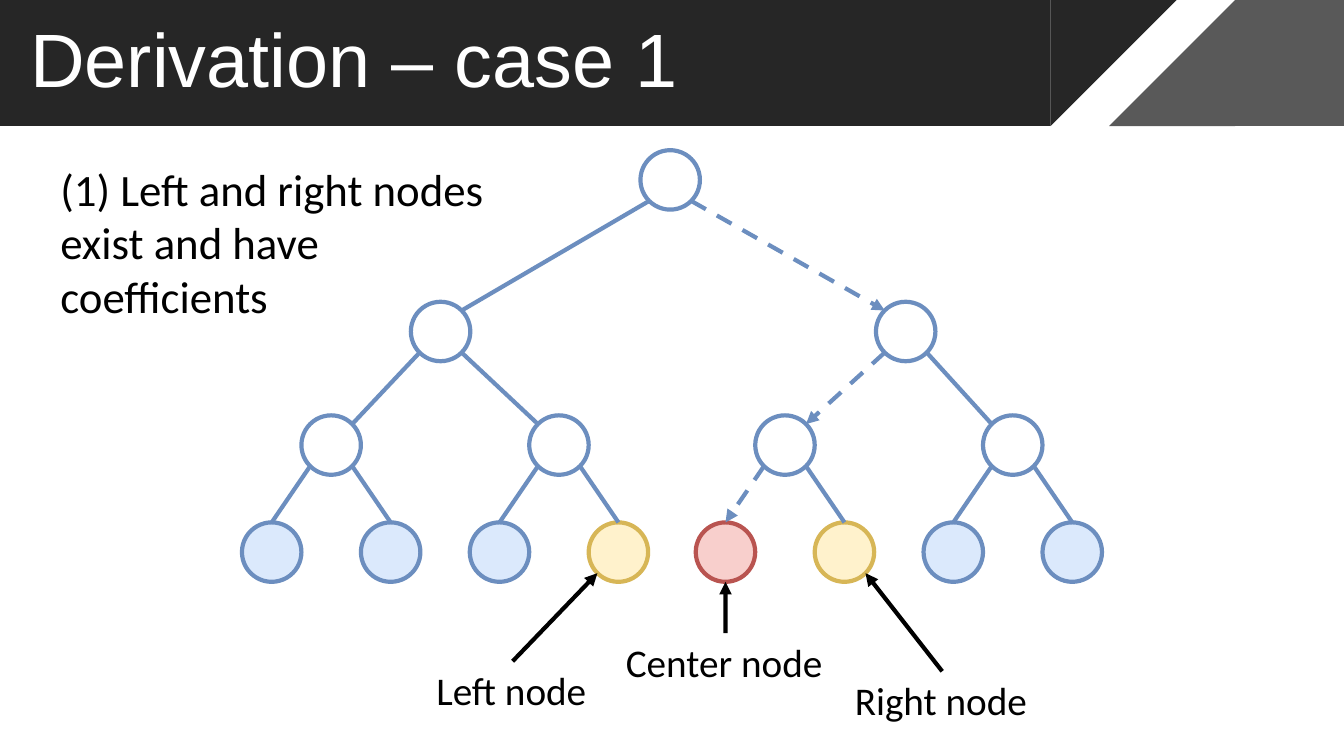
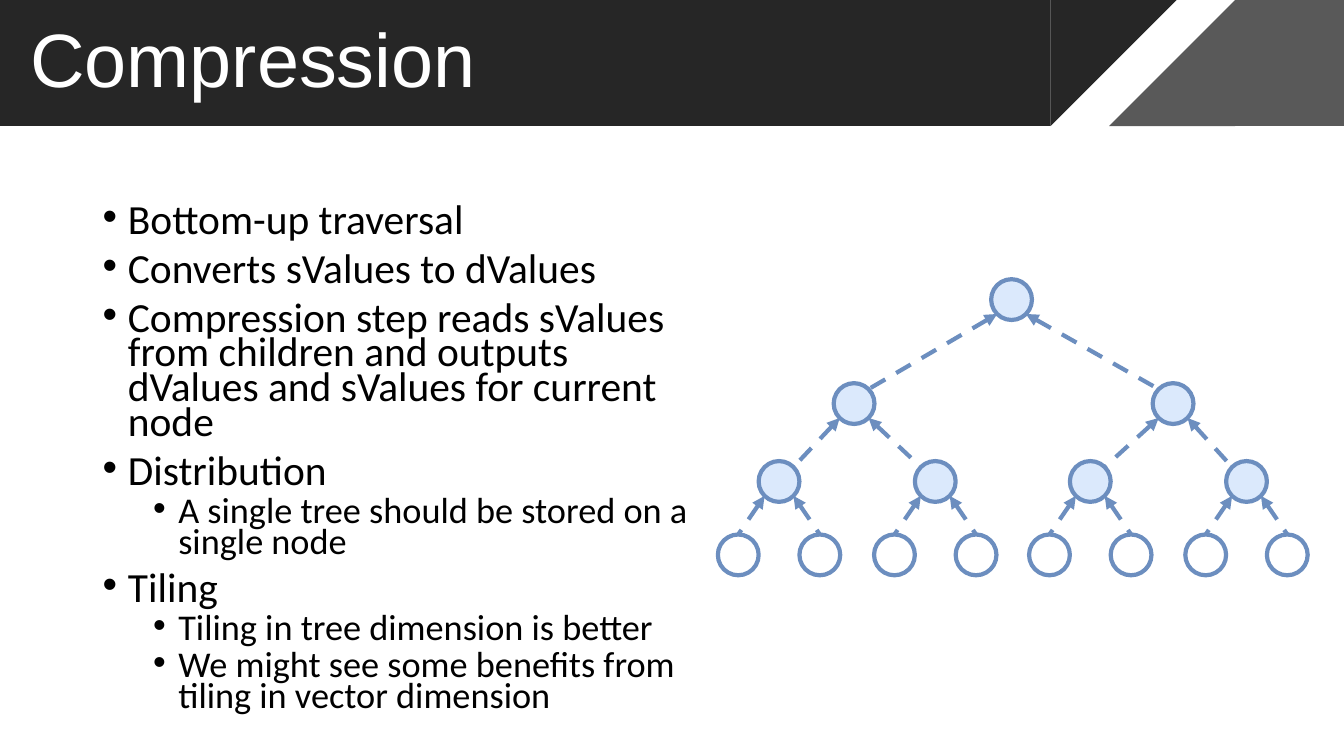
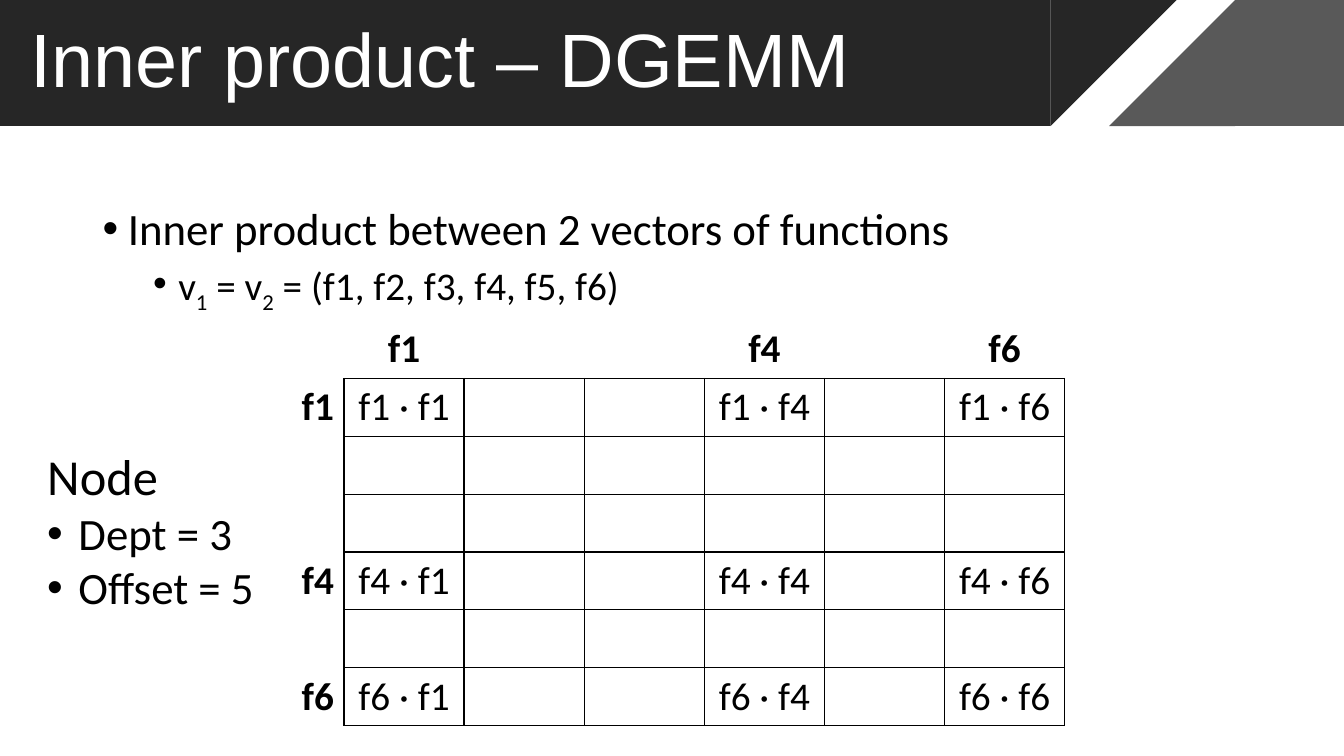
import math
import pptx
import pptx.util
import pptx.dml.color
import pptx.enum.dml
import pptx.enum.shapes
import pptx.enum.text
import pptx.oxml.ns
from lxml import etree

Inches, Pt = pptx.util.Inches, pptx.util.Pt
RGB = pptx.dml.color.RGBColor
SHAPE = pptx.enum.shapes.MSO_SHAPE
ALIGN = pptx.enum.text.PP_ALIGN
ANCHOR = pptx.enum.text.MSO_ANCHOR
qn = pptx.oxml.ns.qn

BLACK, WHITE = RGB(0, 0, 0), RGB(255, 255, 255)
BAND_DARK, BAND_GREY = RGB(0x26, 0x26, 0x26), RGB(0x59, 0x59, 0x59)
BLUE, PALE_BLUE = RGB(0x6C, 0x8E, 0xBF), RGB(0xDB, 0xE9, 0xFC)
GOLD, PALE_GOLD = RGB(0xD7, 0xB6, 0x56), RGB(0xFF, 0xF2, 0xCC)
RED, PALE_RED = RGB(0xB9, 0x54, 0x50), RGB(0xF8, 0xCF, 0xCC)

SLIDE_W, SLIDE_H, BAND_H = 13.33, 7.5, 1.25

# Tree layout in node diameters; nodes are numbered like a heap, root = 1
PAIR_STARTS = (0, 3.83, 7.63, 11.46)
TREE_COLUMNS = [6.7, 2.84, 10.66]
TREE_COLUMNS += [start + 1 for start in PAIR_STARTS]
TREE_COLUMNS += [start + side for start in PAIR_STARTS for side in (0, 2)]
TREE_ROWS = (0, 2.55, 4.46, 6.26)
TREE_SPAN = max(TREE_COLUMNS) + 1
FIRST_LEAF = 8


# Shared helpers
def inches(*lengths):
    return [Inches(length) for length in lengths]


def set_font(paragraph, size, color=BLACK, name="Calibri", bold=False):
    font = paragraph.font
    font.size, font.name, font.bold = Pt(size), name, bold
    font.color.rgb = color


def add_shape(shapes, kind, box, fill=None, outline=None):
    shape = shapes.add_shape(kind, *inches(*box))
    shape.shadow.inherit = False
    if fill is None:
        shape.fill.background()
    else:
        shape.fill.solid()
        shape.fill.fore_color.rgb = fill
    if outline is None:
        shape.line.fill.background()
    else:
        shape.line.color.rgb = outline
        shape.line.width = Pt(3)
    return shape


def add_line(slide, start, end, color, dashed=False, arrow=None):
    """arrow is None, "headEnd" (at start) or "tailEnd" (at end)."""
    line = slide.shapes.add_connector(
        pptx.enum.shapes.MSO_CONNECTOR.STRAIGHT, *inches(*start, *end))
    line.line.color.rgb = color
    line.line.width = Pt(3)
    if dashed:
        line.line.dash_style = pptx.enum.dml.MSO_LINE.DASH
    properties = line._element.spPr
    if arrow:
        etree.SubElement(properties.find(qn("a:ln")), qn("a:" + arrow), type="triangle")
    etree.SubElement(properties, qn("a:effectLst"))
    return line


def add_text(slide, box, text, size, wrap=True):
    textbox = slide.shapes.add_textbox(*inches(*box))
    textbox.text_frame.word_wrap = wrap
    paragraph = textbox.text_frame.paragraphs[0]
    paragraph.text = text
    set_font(paragraph, size)
    return textbox


def set_bullet(paragraph, left, hanging):
    properties = paragraph._p.get_or_add_pPr()
    properties.set("marL", str(Inches(left)))
    properties.set("indent", str(-Inches(hanging)))
    etree.SubElement(properties, qn("a:buFont"), typeface="Arial")
    etree.SubElement(properties, qn("a:buChar"), char="•")


def add_bullets(slide, box, items, sizes, line_spacing):
    """items are (level, [(text, is_subscript), ...])."""
    frame = slide.shapes.add_textbox(*inches(*box)).text_frame
    frame.word_wrap = True
    for index, (level, pieces) in enumerate(items):
        paragraph = frame.add_paragraph() if index else frame.paragraphs[0]
        paragraph.level = level
        paragraph.line_spacing = line_spacing
        paragraph.space_before = Pt((10, 5)[level])
        set_bullet(paragraph, 0.25 + 0.5 * level, 0.25)
        set_font(paragraph, sizes[level])
        for text, is_subscript in pieces:
            run = paragraph.add_run()
            run.text = text
            if is_subscript:
                run.font._element.set("baseline", "-25000")


# Title bands, kept on the layout
def add_bands(layout, slide):
    slant = BAND_H
    dark_end, grey_start = 10.42, SLIDE_W - 1.08
    bands = [
        (SHAPE.RECTANGLE, 0, dark_end, BAND_DARK, 0),
        (SHAPE.RECTANGLE, grey_start, SLIDE_W - grey_start, BAND_GREY, 0),
        (SHAPE.ISOSCELES_TRIANGLE, dark_end, slant, BAND_DARK, 180),
        (SHAPE.ISOSCELES_TRIANGLE, grey_start - slant, slant, BAND_GREY, 0),
    ]
    for position, (kind, left, width, color, rotation) in enumerate(bands):
        band = add_shape(slide.shapes, kind, (left, 0, width, BAND_H), color)
        band.rotation = rotation
        if kind == SHAPE.ISOSCELES_TRIANGLE:
            band.adjustments[0] = 1
        layout.shapes._spTree.insert(2 + position, band._element)


def add_titled_slide(deck, layout, text):
    slide = deck.slides.add_slide(layout)
    title = slide.shapes.title
    title.left, title.top, title.width, title.height = inches(0.2, 0, 10.8, BAND_H)
    frame = title.text_frame
    frame.text = text
    frame.word_wrap = True
    frame.auto_size = pptx.enum.text.MSO_AUTO_SIZE.NONE
    frame.vertical_anchor = ANCHOR.MIDDLE
    heading = frame.paragraphs[0]
    heading.alignment = ALIGN.LEFT
    heading.line_spacing = 0.9
    set_font(heading, 54, WHITE, "Arial")
    return slide


# Binary tree
def add_tree(slide, left, top, width, node_style, edge_style):
    """Draws the tree and returns port(node, across, down), sides being -1, 0 or 1."""
    diameter = width / TREE_SPAN

    def corner(node):
        row = TREE_ROWS[node.bit_length() - 1]
        return left + TREE_COLUMNS[node - 1] * diameter, top + row * diameter

    def port(node, across, down):
        x, y = corner(node)
        reach = diameter / 2 / math.hypot(across, down)
        return x + diameter / 2 + across * reach, y + diameter / 2 + down * reach

    for node in range(1, 2 * FIRST_LEAF):
        add_shape(slide.shapes, SHAPE.OVAL, (*corner(node), diameter, diameter),
                  *node_style(node))
    for child in range(2, 2 * FIRST_LEAF):
        side = 1 if child % 2 else -1
        child_side = 0 if child >= FIRST_LEAF else -side
        add_line(slide, port(child // 2, side, 1), port(child, child_side, -1),
                 BLUE, *edge_style(child))
    return port


# Slide 1
def build_derivation(slide):
    marked = {11: (PALE_GOLD, GOLD), 12: (PALE_RED, RED), 13: (PALE_GOLD, GOLD)}
    searched = (3, 6, 12)

    def node_style(node):
        return marked.get(node, (PALE_BLUE if node >= FIRST_LEAF else None, BLUE))

    def edge_style(child):
        return (True, "tailEnd") if child in searched else (False, None)

    port = add_tree(slide, 2.4, 1.49, 8.53, node_style, edge_style)

    callouts = [
        ("Center node", (6.11, 6.28, 2.17, 0.57), 12, 0),
        ("Right node", (8.38, 6.66, 1.93, 0.57), 13, 1),
        ("Left node", (4.23, 6.56, 1.71, 0.57), 11, -1),
    ]
    for text, box, node, side in callouts:
        label = add_text(slide, box, text, 28, wrap=False)
        arrow = add_line(slide, box[:2], port(node, side, 1), BLACK, arrow="tailEnd")
        arrow.begin_connect(label, 0)

    add_text(slide, (0.5, 1.55, 4.4, 1.72),
             "(1) Left and right nodes exist and have coefficients", 32)


# Slide 2
def build_compression(slide):
    points = [
        (0, "Bottom-up traversal"),
        (0, "Converts sValues to dValues"),
        (0, "Compression step reads sValues from children and outputs "
            "dValues and sValues for current node"),
        (0, "Distribution"),
        (1, "A single tree should be stored on a single node"),
        (0, "Tiling"),
        (1, "Tiling in tree dimension is better"),
        (1, "We might see some benefits from tiling in vector dimension"),
    ]
    add_bullets(slide, (0.92, 2, 6.21, 5.22),
                [(level, [(text, False)]) for level, text in points], (29.6, 25.9), 0.7)
    add_tree(slide, 7.12, 2.77, 5.85,
             lambda node: (None if node >= FIRST_LEAF else PALE_BLUE, BLUE),
             lambda child: (True, "headEnd"))


# Slide 3
def set_borders(cell, sides):
    properties = cell._tc.get_or_add_tcPr()
    for side in sides:
        border = etree.SubElement(properties, qn("a:ln" + side), w=str(Pt(1)))
        fill = etree.SubElement(border, qn("a:solidFill"))
        etree.SubElement(fill, qn("a:srgbClr"), val=str(BLACK))


def add_product_table(slide, left, top, width, height):
    shown = {1: "f1", 4: "f4", 6: "f6"}
    count = 7
    table = slide.shapes.add_table(
        count, count, *inches(left, top, width, height)).table
    table.first_row = table.horz_banding = False
    for row in range(count):
        for column in range(count):
            cell = table.cell(row, column)
            if row and column:
                set_borders(cell, "LRTB")
            elif row or column:
                set_borders(cell, "R" if row else "B")
            cell.fill.solid()
            cell.fill.fore_color.rgb = WHITE

            factors = [shown.get(index) for index in (row, column) if index]
            if factors and all(factors):
                paragraph = cell.text_frame.paragraphs[0]
                paragraph.text = " · ".join(factors)
                paragraph.alignment = ALIGN.CENTER if column else ALIGN.RIGHT
                set_font(paragraph, 28, bold=len(factors) == 1)


def build_inner_product(slide):
    vectors = [("v", False), ("1", True), (" = v", False), ("2", True),
               (" = (f1, f2, f3, f4, f5, f6)", False)]
    add_bullets(slide, (0.92, 2, 11.5, 1.18),
                [(0, [("Inner product between 2 vectors of functions", False)]),
                 (1, vectors)], (32, 28), 0.9)
    add_product_table(slide, 2.22, 3.18, 8.34, 4.02)

    node_box = add_text(slide, (0.37, 4.37, 2.28, 1.78), "Node", 36, wrap=False)
    for text in ("Dept = 3", "Offset = 5"):
        paragraph = node_box.text_frame.add_paragraph()
        paragraph.text = text
        set_bullet(paragraph, 0.31, 0.31)
        set_font(paragraph, 32)


def main():
    deck = pptx.Presentation()
    deck.slide_width, deck.slide_height = inches(SLIDE_W, SLIDE_H)
    title_only = deck.slide_layouts[5]
    pages = [
        ("Derivation – case 1", build_derivation),
        ("Compression", build_compression),
        ("Inner product – DGEMM", build_inner_product),
    ]
    for index, (title, build) in enumerate(pages):
        slide = add_titled_slide(deck, title_only, title)
        if index == 0:
            add_bands(title_only, slide)
        build(slide)
    deck.save("out.pptx")


if __name__ == "__main__":
    main()
